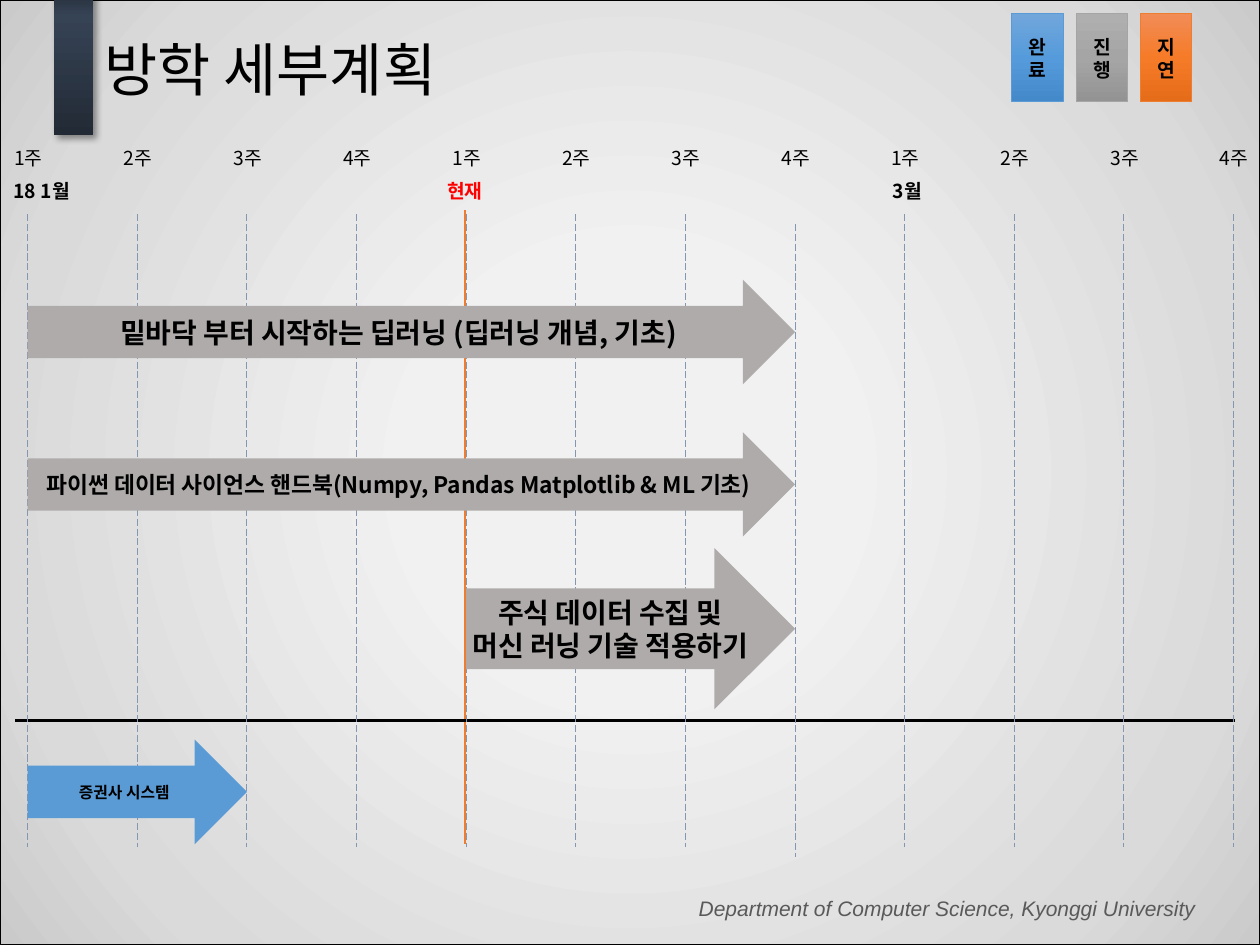
from lxml import etree
from pptx import Presentation
from pptx import util as u
from pptx.dml.color import RGBColor
from pptx.enum import dml, shapes as sh, text as tx
from pptx.oxml import ns

WIDE, HIGH = 10, 7.5
COL, LEFT = 0.87, 0.22          # week grid: column width and first line
TOP, END = 1.7, 6.72            # span of the week lines
KR = "Noto Sans CJK KR"
GREY, BLUE = "AFABAB", "5B9BD5"
MID, RIGHT = tx.PP_ALIGN.CENTER, tx.PP_ALIGN.RIGHT


def rgb(code):
    return RGBColor.from_string(code)


def week(n):
    """Horizontal place of week line n, counted from 0."""
    return LEFT + COL * n


def node(parent, tag, **attrs):
    item = etree.SubElement(parent, ns.qn(tag))
    for key, val in attrs.items():
        item.set(key, str(val))
    return item


def fade(shape, stops, angle=None):
    """Gradient fill: linear at an angle, else round from the centre."""
    shape.fill.background()
    props = shape._element.spPr
    grad = etree.Element(ns.qn("a:gradFill"), rotWithShape="1")
    props.replace(props.find(ns.qn("a:noFill")), grad)
    group = node(grad, "a:gsLst")
    for place, code in stops:
        node(node(group, "a:gs", pos=place * 1000), "a:srgbClr", val=code)
    if angle is None:
        round_ = node(grad, "a:path", path="circle")
        node(round_, "a:fillToRect", l=50000, t=50000, r=50000, b=50000)
    else:
        node(grad, "a:lin", ang=angle * 60000, scaled=0)


def write(shape, lines, size, bold=False, color="000000", font=KR,
          align=MID, anchor=tx.MSO_ANCHOR.MIDDLE, pad=0, italic=False):
    """Fill a shape with paragraphs; a tuple is one paragraph with breaks."""
    frame = shape.text_frame
    frame.word_wrap = True
    frame.vertical_anchor = anchor
    frame.margin_left = frame.margin_right = u.Inches(pad)
    for i, line in enumerate(lines):
        para = frame.add_paragraph() if i else frame.paragraphs[0]
        para.alignment = align
        for j, part in enumerate(line if isinstance(line, tuple) else (line,)):
            if j:
                para.add_line_break()
            run = para.add_run()
            run.text = part
            face = run.font
            face.size, face.bold, face.italic = u.Pt(size), bold, italic
            face.color.rgb, face.name = rgb(color), font
            node(run._r.get_or_add_rPr(), "a:ea", typeface=font)


def block(slide, kind, box, fill=None, line=None):
    shape = slide.shapes.add_shape(kind, *map(u.Inches, box))
    shape.shadow.inherit = False
    if fill:
        shape.fill.solid()
        shape.fill.fore_color.rgb = rgb(fill)
    if line:
        shape.line.color.rgb = rgb(line)
        shape.line.width = u.Pt(0.5)
    else:
        shape.line.fill.background()
    return shape


def label(slide, box, line, size, **style):
    area = slide.shapes.add_textbox(*map(u.Inches, box))
    write(area, [line], size, **style)


def rule(slide, ends, color, width, dash=None):
    line = slide.shapes.add_connector(sh.MSO_CONNECTOR.STRAIGHT,
                                      *map(u.Inches, ends))
    line.line.color.rgb = rgb(color)
    line.line.width = u.Pt(width)
    if dash:
        line.line.dash_style = dash
    node(line._element.spPr, "a:effectLst")


def backdrop(slide):
    rect = sh.MSO_SHAPE.RECTANGLE
    back = block(slide, rect, (0, 0, WIDE, HIGH), line="000000")
    fade(back, [(27, "F1F1F1"), (80, "DADADA"), (100, "CACACA")])
    label(slide, (1.93, 7.06, 7.66, 0.3),
          "Department of Computer Science, Kyonggi University", 12,
          color="595959", font="Arial", align=RIGHT, pad=0.1, italic=True,
          anchor=tx.MSO_ANCHOR.TOP)
    bar = block(slide, rect, (0.43, -0.11, 0.31, 1.18))
    fade(bar, [(0, "222A35"), (80, "364355"), (100, "222A35")], 270)
    glow = bar._element.spPr.find(ns.qn("a:effectLst"))
    cast = node(glow, "a:outerShdw", blurRad=u.Pt(4), dist=u.Pt(3),
                dir=45 * 60000, algn="tl", rotWithShape=0)
    node(node(cast, "a:srgbClr", val="000000"), "a:alpha", val=40000)


def heading(slide, box):
    title = slide.shapes.title
    slide.shapes._spTree.append(title._element)   # in front of the backdrop
    title.left, title.top, title.width, title.height = map(u.Inches, box)
    write(title, ["방학 세부계획"], 33, align=tx.PP_ALIGN.LEFT, pad=0.1)
    title.text_frame.paragraphs[0].line_spacing = 0.9


def legend(slide, left, top):
    states = [
        (("완", "료"), BLUE, ("71A6DB", "559BDB", "448ACA")),
        (("진", "행"), "A5A5A5", ("AFAFAF", "A5A5A5", "939393")),
        (("지", "연"), "ED7D31", ("F18C57", "F67B28", "E56C19")),
    ]
    for i, (name, edge, tones) in enumerate(states):
        key = block(slide, sh.MSO_SHAPE.RECTANGLE,
                    (left + 0.51 * i, top, 0.41, 0.7), line=edge)
        fade(key, zip((0, 50, 100), tones), 90)
        write(key, [name], 11, bold=True)


def calendar(slide):
    rule(slide, (week(4) - 0.01, TOP - 0.03, week(4) - 0.01, END - 0.02),
         "ED7D31", 1.5)
    rule(slide, (0.12, 5.72, 9.8, 5.72), "000000", 1.5)
    for n in range(12):
        x, drop = week(n), 0.08 if n == 7 else 0
        rule(slide, (x, TOP + drop, x, END + drop), "8497B0", 0.5,
             dml.MSO_LINE.LONG_DASH)
        label(slide, (x - 0.29, 1.11, 0.59, 0.29), f"{n % 4 + 1}주", 11)
    marks = [(0.33, "18 1월", "000000"), (week(4) - 0.01, "현재", "FF0000"),
             (week(8) + 0.02, "3월", "000000")]
    for mid, name, color in marks:
        label(slide, (mid - 0.49, 1.37, 0.98, 0.29), name, 11,
              bold=True, color=color)


def tasks(slide):
    plan = [    # first week, weeks, top, height, fill, size, lines
        (0, 7, 2.22, 0.83, GREY, 16,
         ["밑바닥 부터 시작하는 딥러닝 (딥러닝 개념, 기초)"]),
        (0, 7, 3.43, 0.83, GREY, 13,
         ["파이썬 데이터 사이언스 핸드북(Numpy, Pandas Matplotlib & ML 기초)"]),
        (4, 3, 4.35, 1.28, GREY, 16,
         ["주식 데이터 수집 및", "머신 러닝 기술 적용하기"]),
        (0, 2, 5.87, 0.83, BLUE, 9, ["증권사 시스템"]),
    ]
    for start, span, top, tall, fill, size, lines in plan:
        arrow = block(slide, sh.MSO_SHAPE.RIGHT_ARROW,
                      (week(start), top, span * COL, tall), fill)
        write(arrow, lines, size, bold=True)


def main():
    deck = Presentation()
    deck.slide_width, deck.slide_height = u.Inches(WIDE), u.Inches(HIGH)
    slide = deck.slides.add_slide(deck.slide_layouts[5])
    backdrop(slide)
    heading(slide, (0.73, -0.15, 8.62, 1.45))
    legend(slide, 8.03, 0.11)
    calendar(slide)
    tasks(slide)
    deck.save("out.pptx")


if __name__ == "__main__":
    main()
